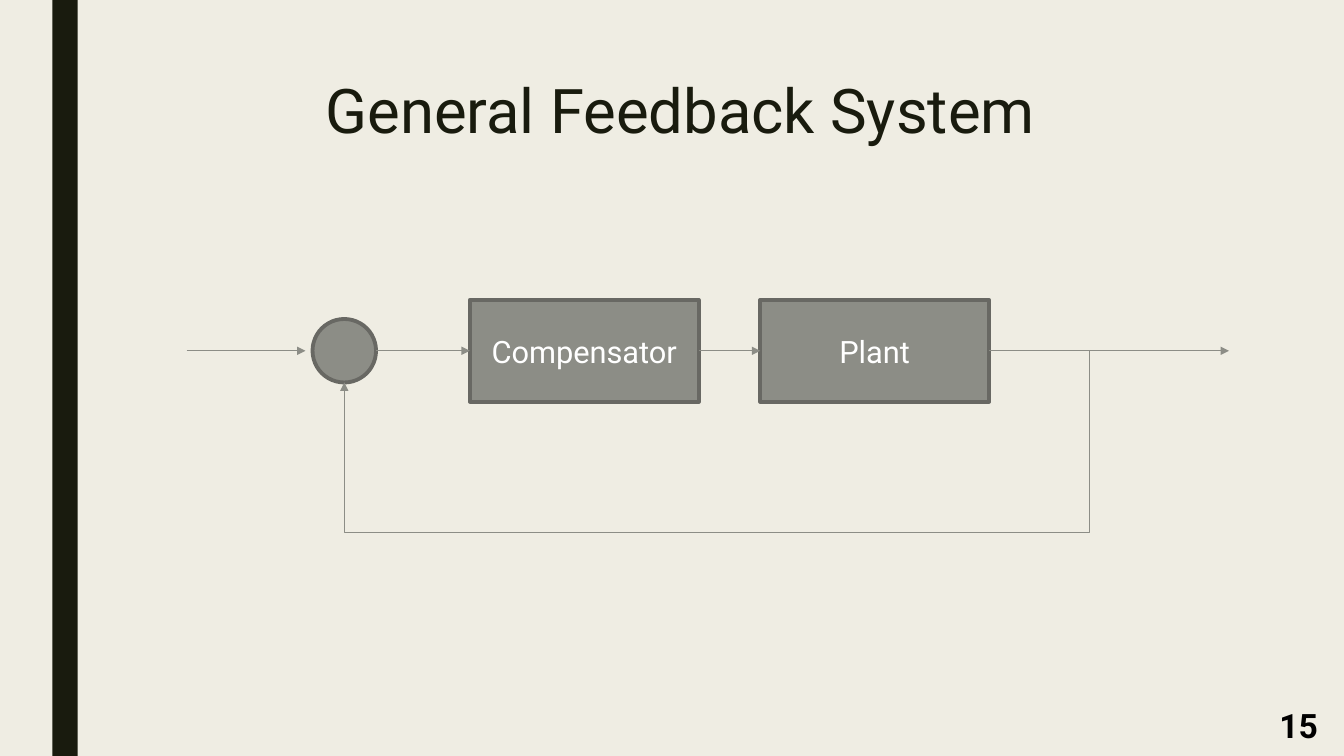
from dataclasses import dataclass

from lxml import etree
from pptx import Presentation
from pptx.dml.color import RGBColor
from pptx.enum import shapes, text
from pptx.oxml import ns
from pptx.util import Inches, Pt

FONT = "Roboto"
CREAM = RGBColor(0xEF, 0xED, 0xE3)
DARK = RGBColor(0x19, 0x1B, 0x0E)
GREY = RGBColor(0x8C, 0x8D, 0x86)
OUTLINE = RGBColor(0x68, 0x68, 0x63)
WHITE = RGBColor(0xFF, 0xFF, 0xFF)
BLACK = RGBColor(0, 0, 0)

SIGNAL_Y = 3.48
BRANCH_X = 10.81
RETURN_Y = 5.28


@dataclass
class Block:
    left: float
    width: float
    height: float
    label: str = ""
    kind: shapes.MSO_SHAPE = shapes.MSO_SHAPE.RECTANGLE

    @property
    def right(self) -> float:
        return self.left + self.width

    @property
    def top(self) -> float:
        return SIGNAL_Y - self.height / 2

    @property
    def bottom(self) -> float:
        return SIGNAL_Y + self.height / 2


@dataclass
class Arrow:
    start: float
    end: float


COMPENSATOR = Block(4.66, 2.27, 1.01, "Compensator")
PLANT = Block(7.54, 2.27, 1.01, "Plant")
SUMMER = Block(3.1, 0.63, 0.63, kind=shapes.MSO_SHAPE.OVAL)
SIGNALS = [
    Arrow(1.85, 3.03),
    Arrow(SUMMER.right, COMPENSATOR.left),
    Arrow(COMPENSATOR.right, PLANT.left),
    Arrow(10.79, 12.19),
]


def style_text(frame, content: str, size: float, color: RGBColor,
               align=text.PP_ALIGN.LEFT, bold: bool = False) -> None:
    frame.text = content
    para = frame.paragraphs[0]
    para.alignment = align
    for span in para.runs:
        span.font.name = FONT
        span.font.size = Pt(size)
        span.font.bold = bold
        span.font.color.rgb = color


def add_bar(page) -> None:
    bar = page.shapes.add_shape(shapes.MSO_SHAPE.RECTANGLE, Inches(0.52), 0,
                                Inches(0.25), Inches(7.5))
    bar.shadow.inherit = False
    bar.fill.solid()
    bar.fill.fore_color.rgb = DARK
    bar.line.fill.background()


def add_title(page) -> None:
    title = page.shapes.title
    title.left, title.top = Inches(1.5), Inches(0.75)
    title.width, title.height = Inches(10.5), Inches(1.62)
    title.text_frame.vertical_anchor = text.MSO_ANCHOR.TOP
    style_text(title.text_frame, "General Feedback System", 44, DARK,
               text.PP_ALIGN.CENTER)
    title.text_frame.paragraphs[0].line_spacing = 0.89


def add_block(page, block: Block) -> None:
    box = page.shapes.add_shape(block.kind, Inches(block.left), Inches(block.top),
                                Inches(block.width), Inches(block.height))
    box.shadow.inherit = False
    box.fill.solid()
    box.fill.fore_color.rgb = GREY
    box.line.color.rgb = OUTLINE
    box.line.width = Pt(2.75)
    if block.label:
        box.text_frame.vertical_anchor = text.MSO_ANCHOR.MIDDLE
        style_text(box.text_frame, block.label, 22, WHITE, text.PP_ALIGN.CENTER)


def add_arrow(page, kind, start: tuple[float, float], end: tuple[float, float]):
    arrow = page.shapes.add_connector(kind, *map(Inches, start + end))
    arrow.line.color.rgb = GREY
    arrow.line.width = Pt(0.5)
    properties = arrow.line._get_or_add_ln()
    etree.SubElement(properties, ns.qn("a:tailEnd"), type="triangle")
    etree.SubElement(arrow._element.spPr, ns.qn("a:effectLst"))
    return arrow


def add_feedback(page) -> None:
    """Route the plant output down, back and up into the summing circle."""
    summer_x = SUMMER.left + SUMMER.width / 2
    loop = add_arrow(page, shapes.MSO_CONNECTOR.ELBOW,
                     (PLANT.right, SIGNAL_Y), (summer_x, SUMMER.bottom))
    geometry = loop._element.spPr.find(ns.qn("a:prstGeom"))
    geometry.set("prst", "bentConnector4")
    guides = geometry.find(ns.qn("a:avLst"))
    ratios = (
        (BRANCH_X - PLANT.right) / (summer_x - PLANT.right),
        (RETURN_Y - SIGNAL_Y) / (SUMMER.bottom - SIGNAL_Y),
    )
    for number, ratio in enumerate(ratios, 1):
        etree.SubElement(guides, ns.qn("a:gd"), name=f"adj{number}",
                         fmla=f"val {round(ratio * 100000)}")


def add_page_number(page) -> None:
    box = page.shapes.add_textbox(Inches(12.59), Inches(6.94),
                                  Inches(0.74), Inches(0.5))
    box.text_frame.word_wrap = True
    style_text(box.text_frame, "15", 24, BLACK, bold=True)


def main() -> None:
    deck = Presentation()
    deck.slide_width, deck.slide_height = Inches(13.33), Inches(7.5)
    page = deck.slides.add_slide(deck.slide_layouts[5])
    page.background.fill.solid()
    page.background.fill.fore_color.rgb = CREAM
    add_bar(page)
    add_title(page)
    for block in (COMPENSATOR, PLANT, SUMMER):
        add_block(page, block)
    for signal in SIGNALS:
        add_arrow(page, shapes.MSO_CONNECTOR.STRAIGHT,
                  (signal.start, SIGNAL_Y), (signal.end, SIGNAL_Y))
    add_feedback(page)
    add_page_number(page)
    deck.save("out.pptx")


if __name__ == "__main__":
    main()
